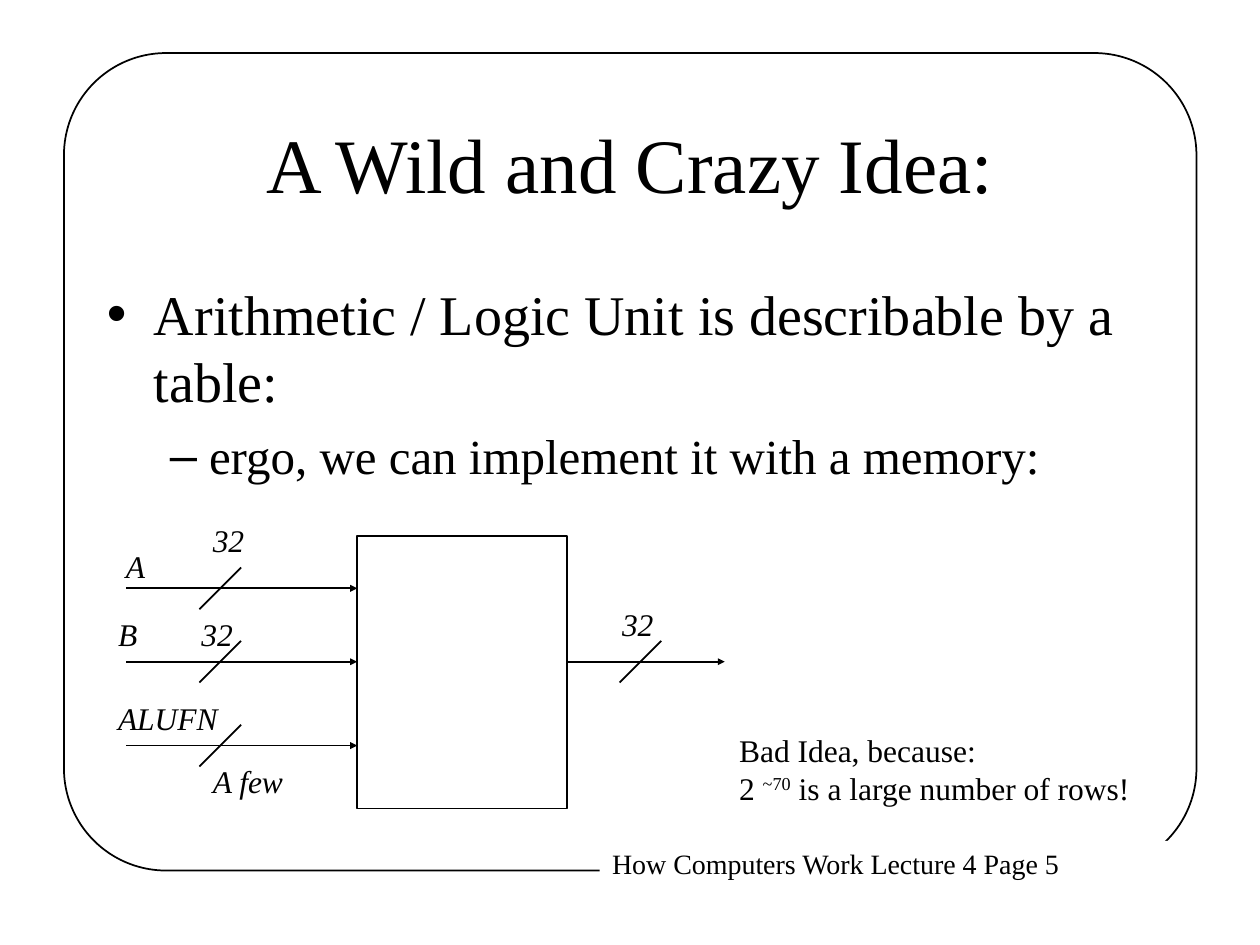
from pptx import Presentation
from pptx.dml.color import RGBColor
from pptx.enum.shapes import MSO_CONNECTOR, MSO_SHAPE
from pptx.enum.text import MSO_ANCHOR, PP_ALIGN
from pptx.oxml.ns import qn
from pptx.util import Cm, Pt
from lxml import etree

ROUND = MSO_SHAPE.ROUNDED_RECTANGLE
RECT = MSO_SHAPE.RECTANGLE
STRAIGHT = MSO_CONNECTOR.STRAIGHT
MIDDLE = MSO_ANCHOR.MIDDLE
CENTER = PP_ALIGN.CENTER
FONT = "Times New Roman"
INK = "000000"
PAPER = "FFFFFF"


def paint(item, color):
    if hasattr(item, "solid"):
        item.solid()
        item.fore_color.rgb = RGBColor.from_string(color)
    else:
        item.color.rgb = RGBColor.from_string(color)


def style(font, size, italic=False):
    font.name = FONT
    font.size = Pt(size)
    font.italic = italic
    paint(font, INK)


def place(shape, box):
    shape.left, shape.top, shape.width, shape.height = map(Cm, box)


def add_box(slide, kind, box, fill=None, line=None):
    shape = slide.shapes.add_shape(kind, *map(Cm, box))
    shape.shadow.inherit = False
    if fill:
        paint(shape.fill, fill)
    else:
        shape.fill.background()
    if line:
        paint(shape.line, line)
        shape.line.width = Pt(1)
    else:
        shape.line.fill.background()
    return shape


def add_line(slide, start, end, arrow=False):
    line = slide.shapes.add_connector(STRAIGHT, *map(Cm, start + end))
    paint(line.line, INK)
    line.line.width = Pt(1)
    props = line.element.spPr
    if arrow:
        tail = etree.SubElement(props.find(qn("a:ln")), qn("a:tailEnd"))
        for key, value in (("type", "triangle"), ("w", "sm"), ("len", "sm")):
            tail.set(key, value)
    etree.SubElement(props, qn("a:effectLst"))


def add_text(slide, box, text, size, italic=False):
    frame = slide.shapes.add_textbox(*map(Cm, box)).text_frame
    frame.word_wrap = False
    frame.text = text
    for para in frame.paragraphs:
        style(para.font, size, italic)
    return frame


def add_frame(slide, box):
    x, y, w, h = box
    frame = add_box(slide, ROUND, box, line=INK)
    frame.adjustments[0] = 0.125
    foot = (x + 10.8, y + h - 0.6, 11.66, 0.93)
    add_box(slide, RECT, foot, fill=PAPER)
    add_text(slide, foot, "How Computers Work Lecture 4 Page 5", 16)


def add_title(slide, box):
    title = slide.shapes.title
    place(title, box)
    frame = title.text_frame
    frame.text = "A Wild and Crazy Idea:"
    frame.vertical_anchor = MIDDLE
    para = frame.paragraphs[0]
    para.alignment = CENTER
    style(para.runs[0].font, 44)


def add_list(slide, box):
    body = slide.placeholders[1]
    place(body, box)
    items = [
        ("Arithmetic / Logic Unit is describable by a table:", "•", 0.95, -0.95, 32, 0),
        ("ergo, we can implement it with a memory:", "–", 2.06, -0.79, 28, 7),
    ]
    frame = body.text_frame
    frame.text = "\n".join(item[0] for item in items)
    for level, (para, item) in enumerate(zip(frame.paragraphs, items)):
        mark, left, hang, size, gap = item[1:]
        para.level = level
        para.space_before = Pt(gap)
        props = para._p.get_or_add_pPr()
        props.set("marL", str(Cm(left)))
        props.set("indent", str(Cm(hang)))
        etree.SubElement(props, qn("a:buChar")).set("char", mark)
        style(para.runs[0].font, size)


def add_wire(slide, x, y, length, cut):
    half = 0.42
    add_line(slide, (x, y), (x + length, y), arrow=True)
    add_line(slide, (x + cut + half, y - half), (x + cut - half, y + half))


def add_unit(slide, box):
    x, y, w, h = box
    lead, side = 4.66, 4.23
    add_box(slide, RECT, (x + lead, y, side, h), line=INK)
    for drop in (1.06, 2.54, 4.23):
        add_wire(slide, x, y + drop, lead, 1.9)
    out = lead + side
    add_wire(slide, x + out, y + 2.54, w - out, 1.48)
    labels = [
        ("A", -0.25, 0.1, 0.89),
        ("B", -0.41, 1.47, 0.89),
        ("ALUFN", -0.41, 3.17, 2.8),
        ("32", 1.5, -0.43, 1.2),
        ("32", 1.27, 1.47, 1.2),
        ("A few", 1.5, 4.44, 2.1),
        ("32", 9.75, 1.27, 1.2),
    ]
    for text, dx, dy, width in labels:
        add_text(slide, (x + dx, y + dy, width, 1.02), text, 18, italic=True)


def add_note(slide, box):
    frame = add_text(slide, box, "Bad Idea, because:\n2 ", 18)
    para = frame.paragraphs[1]
    power = para.add_run()
    power.text = "~70"
    power.font._element.set("baseline", "30000")
    para.add_run().text = " is a large number of rows!"


def main():
    deck = Presentation()
    deck.slide_width, deck.slide_height = Cm(25.4), Cm(19.05)
    slide = deck.slides.add_slide(deck.slide_layouts[1])
    add_frame(slide, (1.29, 1.07, 22.83, 16.48))
    add_title(slide, (1.9, 1.69, 21.6, 3.18))
    add_list(slide, (1.9, 5.5, 21.6, 11.43))
    add_unit(slide, (2.54, 10.8, 12.07, 5.5))
    add_note(slide, (14.65, 14.61, 8.5, 1.78))
    deck.save("out.pptx")


if __name__ == "__main__":
    main()
